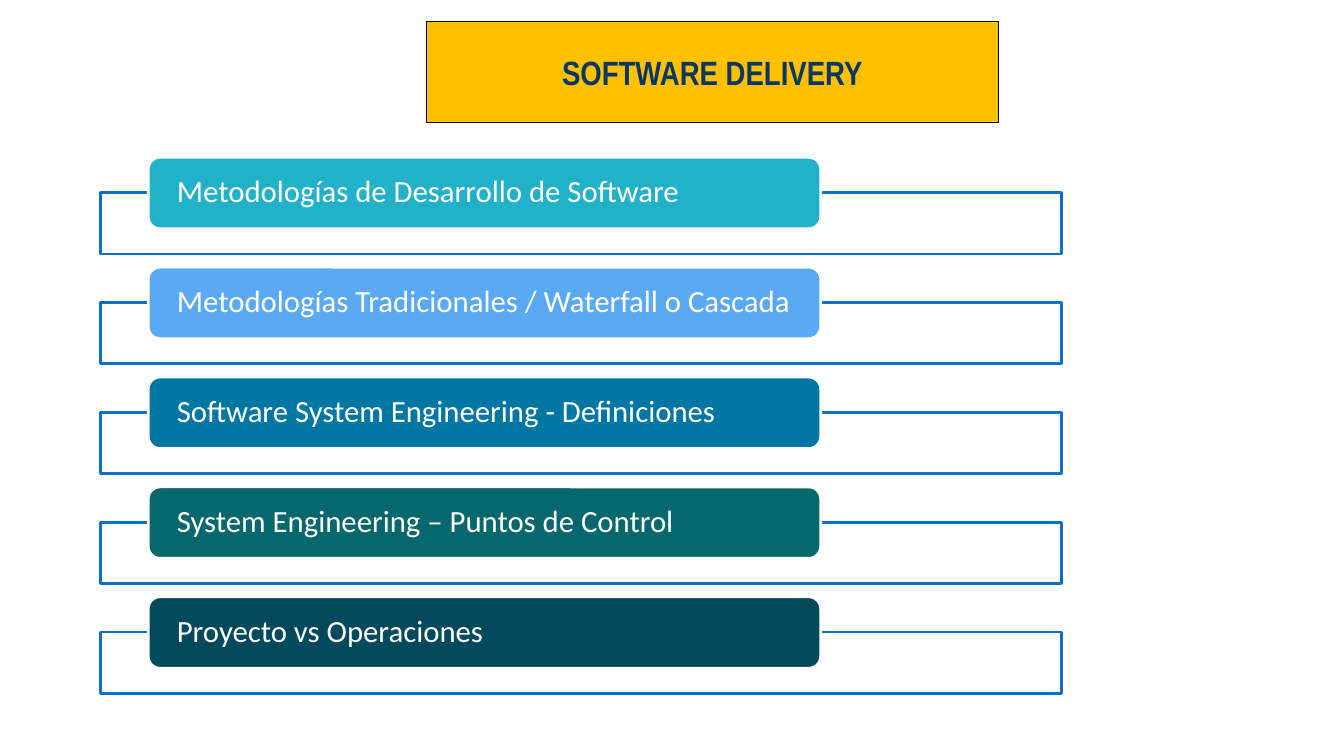
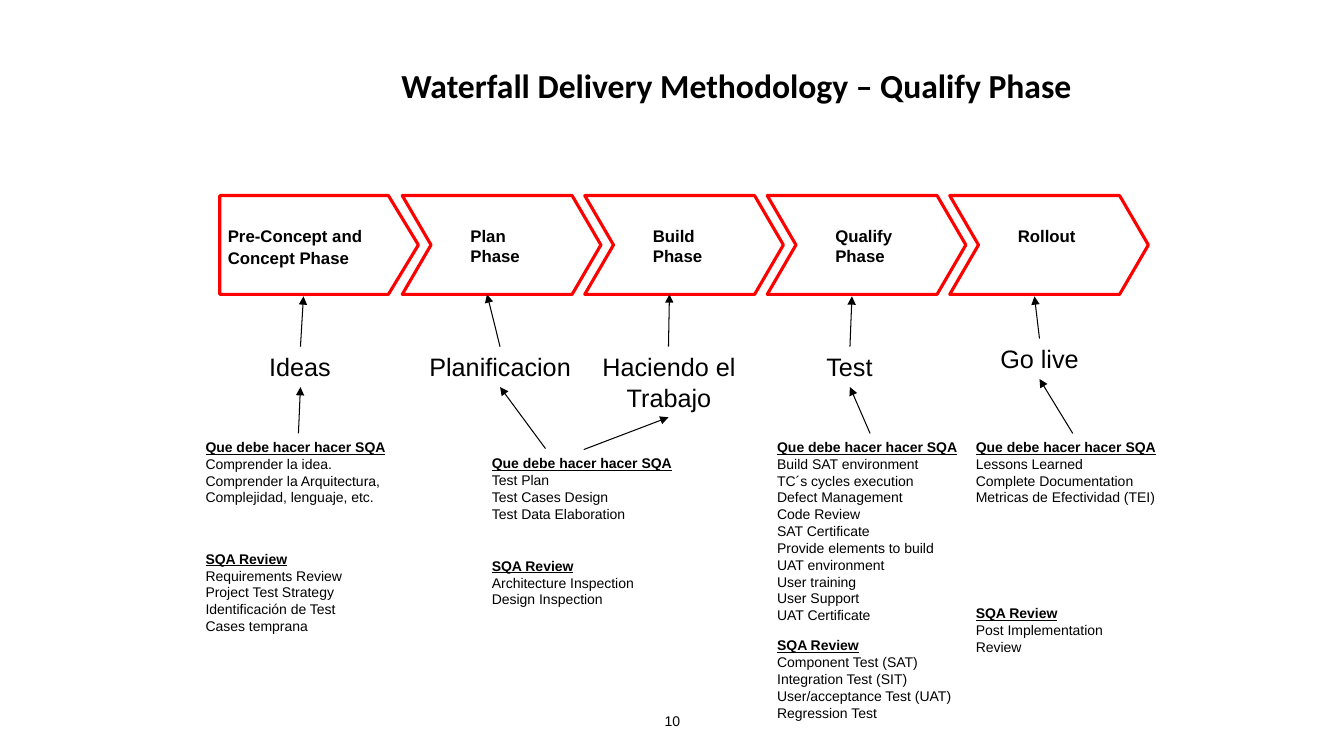
from lxml import etree
from pptx import Presentation
from pptx.dml.color import RGBColor
from pptx.enum.shapes import MSO_CONNECTOR, MSO_SHAPE
from pptx.enum.text import MSO_ANCHOR, PP_ALIGN
from pptx.oxml.ns import qn
from pptx.util import Inches, Pt

RECT = MSO_SHAPE.RECTANGLE
ROUNDED = MSO_SHAPE.ROUNDED_RECTANGLE
PENTAGON = MSO_SHAPE.PENTAGON
CHEVRON = MSO_SHAPE.CHEVRON
STRAIGHT = MSO_CONNECTOR.STRAIGHT
LEFT, CENTER = PP_ALIGN.LEFT, PP_ALIGN.CENTER
TOP, MIDDLE = MSO_ANCHOR.TOP, MSO_ANCHOR.MIDDLE

COLORS = {
    "white": "FFFFFF", "black": "000000", "red": "FF0000",
    "gold": "FFC000", "navy": "083763", "outline": "0F6FC6",
    "turquoise": "21B2C9", "sky": "59AAF2", "blue": "0076A3",
    "teal": "06686C", "petrol": "03495C",
}


def add_block(slide, kind, box, fill, line, line_width):
    """Add a preset shape with a flat fill (or None) and an outline."""
    block = slide.shapes.add_shape(kind, *map(Inches, box))
    block.shadow.inherit = False
    if fill:
        block.fill.solid()
        block.fill.fore_color.rgb = RGBColor.from_string(COLORS[fill])
    else:
        block.fill.background()
    block.line.color.rgb = RGBColor.from_string(COLORS[line])
    block.line.width = Pt(line_width)
    return block


def write(shape, text, size, font="Arial", color="black", bold=False, align=LEFT,
          anchor=TOP, insets=(0.1, 0.05, 0.1, 0.05), wrap=True):
    """Fill a shape with text, one paragraph a line, and return the paragraphs."""
    frame = shape.text_frame
    frame.text = text
    frame.word_wrap = wrap
    frame.vertical_anchor = anchor
    (frame.margin_left, frame.margin_top,
     frame.margin_right, frame.margin_bottom) = map(Inches, insets)
    for paragraph in frame.paragraphs:
        paragraph.alignment = align
        for run in paragraph.runs:
            run.font.name = font
            run.font.size = Pt(size)
            run.font.bold = bold
            run.font.color.rgb = RGBColor.from_string(COLORS[color])
    return frame.paragraphs


prs = Presentation()
prs.slide_width, prs.slide_height = Inches(13.33), Inches(7.5)
blank = prs.slide_layouts[6]

# Slide 1: agenda
agenda = prs.slides.add_slide(blank)
banner = add_block(agenda, RECT, (4.23, 0.21, 5.67, 1.01), "gold", "black", 0.75)
write(banner, "SOFTWARE DELIVERY", 24, "Arial Narrow", "navy", True, CENTER, MIDDLE)

topics = [
    ("Metodologías de Desarrollo de Software", "turquoise"),
    ("Metodologías Tradicionales / Waterfall o Cascada", "sky"),
    ("Software System Engineering - Definiciones", "blue"),
    ("System Engineering – Puntos de Control", "teal"),
    ("Proyecto vs Operaciones", "petrol"),
]
TOPIC_STEP = 1.09
for i, (topic, color) in enumerate(topics):
    top = 1.56 + i * TOPIC_STEP
    add_block(agenda, RECT, (1, top + 0.35, 9.53, 0.61), "white", "outline", 2)
    tab = add_block(agenda, ROUNDED, (1.47, top, 6.67, 0.71), color, "white", 2)
    for paragraph in write(tab, topic, 22, "Calibri", "white", anchor=MIDDLE,
                           insets=(0.25, 0, 0.2, 0)):
        paragraph.line_spacing = 0.9

# Slide 2: waterfall phases
waterfall = prs.slides.add_slide(blank)
heading = waterfall.shapes.add_textbox(*map(Inches, (3.98, 0.64, 6.72, 0.4)))
write(heading, "Waterfall Delivery Methodology – Qualify Phase", 24, "Calibri",
      bold=True, insets=(0, 0, 0, 0), wrap=False)
page_number = waterfall.shapes.add_textbox(*map(Inches, (4.56, 6.95, 4.22, 0.4)))
write(page_number, "10", 10, align=CENTER, anchor=MIDDLE)

phases = [
    ("Pre-Concept and\nConcept Phase", PENTAGON, 0.303, 0.08, "white"),
    ("Plan Phase", CHEVRON, 0.291, 0.39, None),
    ("Build Phase", CHEVRON, 0.291, 0.39, "white"),
    ("Qualify Phase", CHEVRON, 0.291, 0.39, "white"),
    ("Rollout", CHEVRON, 0.291, 0.39, "white"),
]
PHASE_STEP = 1.81
for i, (phase, kind, point, inset, fill) in enumerate(phases):
    step = add_block(waterfall, kind, (2.18 + i * PHASE_STEP, 1.94, 1.97, 0.98),
                     fill, "red", 2.25)
    step.adjustments[0] = point
    for paragraph in write(step, phase, 12, bold=True, insets=(inset, 0.3, 0.2, 0.08)):
        paragraph.space_after = Pt(1.2)

activities = [
    ("Ideas", 2.57, 3.44, 0.81, 0.4),
    ("Planificacion", 4.15, 3.44, 1.62, 0.4),
    ("Haciendo el\nTrabajo", 5.8, 3.44, 1.67, 0.71),
    ("Test", 8.08, 3.44, 0.69, 0.4),
    ("Go live", 9.82, 3.36, 0.98, 0.4),
]
for activity, *box in activities:
    label = waterfall.shapes.add_textbox(*map(Inches, box))
    write(label, activity, 18, align=CENTER, wrap=False)

TASKS, REVIEW = "Que debe hacer hacer SQA", "SQA Review"
checklists = [
    (TASKS, (1.94, 4.3, 2.04, 1.11),
     ["Comprender la idea.", "Comprender la Arquitectura,", "Complejidad, lenguaje, etc."]),
    (REVIEW, (1.94, 5.41, 1.9, 0.94),
     ["Requirements Review", "Project Test Strategy",
      "Identificación de Test Cases temprana"]),
    (TASKS, (4.78, 4.46, 2.04, 1.11),
     ["Test Plan", "Test Cases Design", "Test Data Elaboration"]),
    (REVIEW, (4.78, 5.48, 1.9, 0.6), ["Architecture Inspection", "Design Inspection"]),
    (TASKS, (7.61, 4.3, 2.04, 1.95),
     ["Build SAT environment", "TC´s cycles execution", "Defect Management",
      "Code Review", "SAT Certificate", "Provide elements to build UAT environment",
      "User training", "User Support", "UAT Certificate"]),
    (REVIEW, (7.61, 6.27, 1.97, 0.94),
     ["Component Test (SAT)", "Integration Test (SIT)", "User/acceptance Test (UAT)",
      "Regression Test"]),
    (TASKS, (9.58, 4.3, 2.13, 0.77),
     ["Lessons Learned", "Complete Documentation", "Metricas de Efectividad (TEI)"]),
    (REVIEW, (9.58, 5.95, 1.9, 0.6), ["Post Implementation Review"]),
]
for title, box, items in checklists:
    checklist = waterfall.shapes.add_textbox(*map(Inches, box))
    title_font = write(checklist, "\n".join([title, *items]), 10)[0].runs[0].font
    title_font.bold = title_font.underline = True

arrows = [
    # activity to phase
    (2.98, 3.44, 3.01, 2.94), (4.96, 3.44, 4.83, 2.92), (6.63, 3.44, 6.64, 2.92),
    (8.43, 3.44, 8.45, 2.94), (10.31, 3.36, 10.26, 2.94),
    # checklist to activity
    (2.96, 4.3, 2.98, 3.84), (5.41, 4.45, 4.96, 3.84), (5.79, 4.46, 6.63, 4.14),
    (8.63, 4.3, 8.43, 3.84), (10.64, 4.3, 10.31, 3.76),
]
for ends in arrows:
    arrow = waterfall.shapes.add_connector(STRAIGHT, *map(Inches, ends))
    arrow.line.color.rgb = RGBColor.from_string(COLORS["black"])
    arrow.line.width = Pt(0.75)
    etree.SubElement(arrow.line._get_or_add_ln(), qn("a:tailEnd"), type="triangle")
    etree.SubElement(arrow._element.spPr, qn("a:effectLst"))

prs.save("out.pptx")
